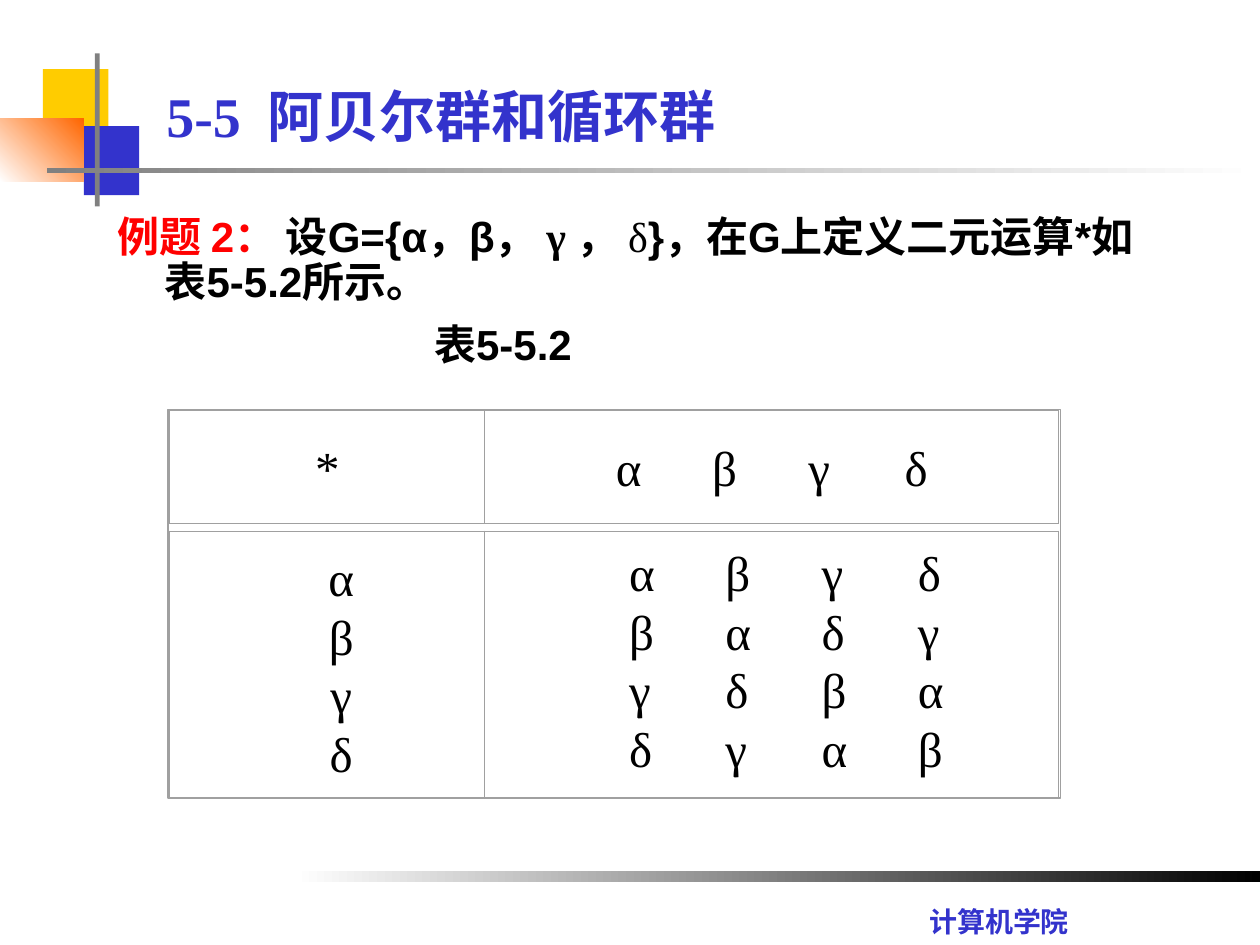
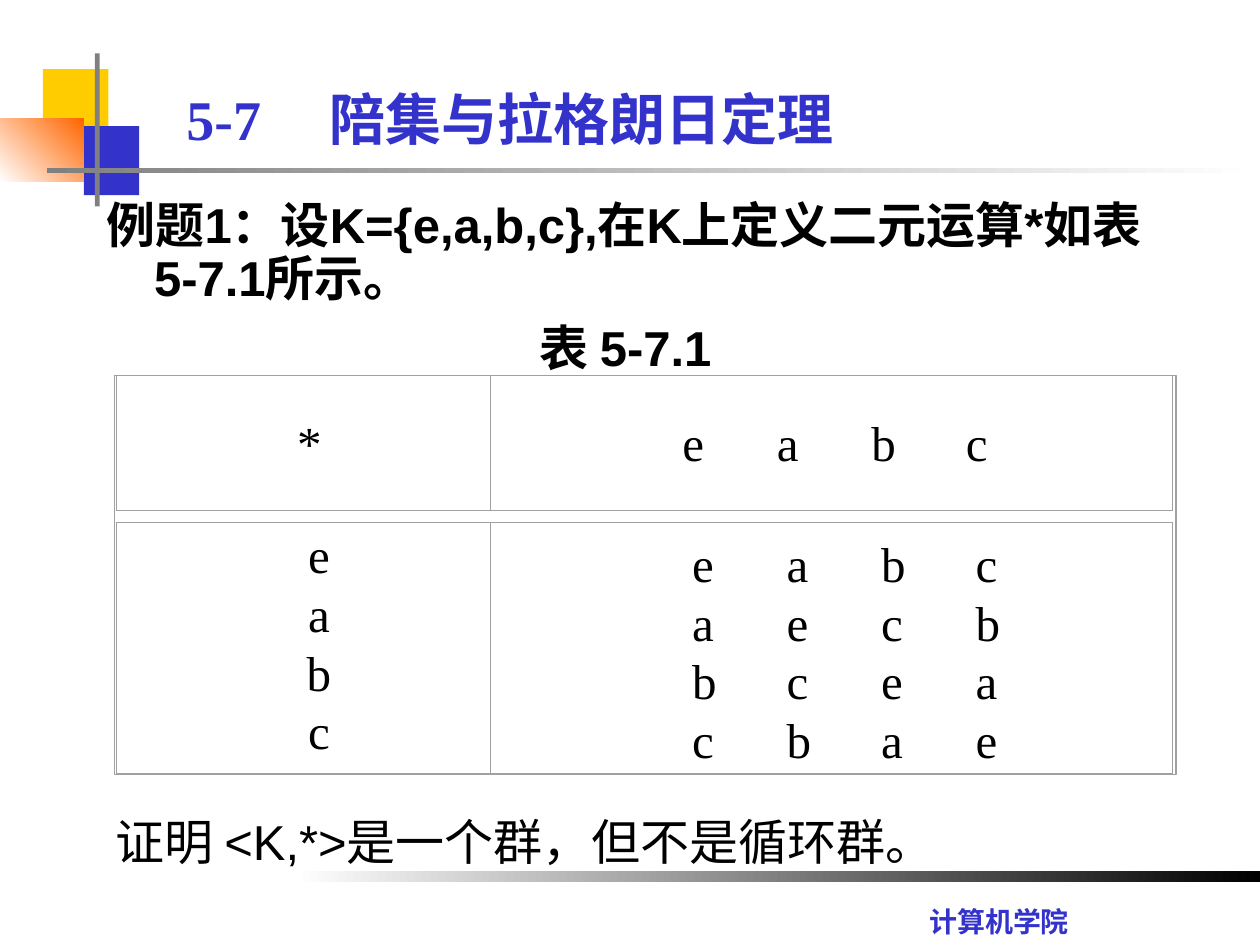
from dataclasses import dataclass

from lxml.etree import SubElement
from pptx import Presentation
from pptx.dml.color import RGBColor
from pptx.enum.shapes import MSO_SHAPE as Shape
from pptx.enum.text import MSO_ANCHOR as Anchor, PP_ALIGN as Align
from pptx.oxml import parse_xml
from pptx.oxml.ns import nsdecls, qn
from pptx.util import Pt


@dataclass(frozen=True)
class Theme:
    blue: str = "3333CC"
    yellow: str = "FFCC00"
    orange: str = "FF6600"
    red: str = "FF0000"
    gray: str = "808080"
    rule: str = "A0A0A0"
    black: str = "000000"
    white: str = "FFFFFF"
    serif: str = "Times New Roman"
    sans: str = "Arial"
    footer_font: str = "Karla"
    title_size: float = 32
    cell_size: float = 28
    footer_size: float = 16


theme = Theme()


def add_run(para, text, size, font, color=theme.black, bold=False):
    span = para.add_run()
    span.text = text
    span.font.size = Pt(size)
    span.font.name = font
    span.font.bold = bold
    span.font.color.rgb = RGBColor.from_string(color)


def add_tabs(para, stops):
    """Give the paragraph left tab stops, in points from the text edge."""
    tab_list = SubElement(para._p.get_or_add_pPr(), qn("a:tabLst"))
    for stop in stops:
        SubElement(tab_list, qn("a:tab"), pos=str(Pt(stop)), algn="l")


# Shared decoration: left, top, width, height, colours (two make a gradient), angle
bands = [
    (24.5, 39.5, 37.5, 39.5, [theme.yellow], 0),
    (48, 72, 31.5, 39.5, [theme.blue], 0),
    (0, 68, 48, 35.5, [theme.white, theme.orange], 45),
    (54.25, 30.5, 2.75, 87.5, [theme.gray], 0),
    (26.75, 96, 693.25, 3, [theme.gray, theme.white], 0),
    (168, 498, 552, 6, [theme.white, theme.black], 0),
]

# Runs are (text, font, colour, bold); a pad is the space above the text of a cell.
pages = [
    {
        "title": ("5-5", "阿贝尔群和循环群"),
        "title_box": (88, 49, 612, 33),
        "title_tab": 58,
        "body_box": (60, 120, 612, 114),
        "body_size": 24,
        "problem": [
            ("例题 2：", theme.sans, theme.red, True),
            (" 设G={α，β，", theme.sans, theme.black, True),
            (" γ ", theme.serif, theme.black, True),
            ("，", theme.sans, theme.black, True),
            (" δ", theme.serif, theme.black, False),
            ("}，在G上定义二元运算*如表5-5.2所示。", theme.sans, theme.black, True),
        ],
        "caption": "表5-5.2",
        "caption_left": 181,
        "elements": "αβγδ",
        "products": ["αβγδ", "βαδγ", "γδβα", "δγαβ"],
        "table_at": (97, 234.5),
        "columns": (180, 328),
        "rows": (64.5, 4.5, 152),
        "frame": (96, 234, 510, 222),
        "pitch": 55,
        "head_pad": 16,
        "body_pads": (10, 7),
        "lefts": ((0, 75), (16, 82.5)),
        "note": None,
    },
    {
        "title": ("5-7", "陪集与拉格朗日定理"),
        "title_box": (99.5, 37.5, 598.5, 60),
        "title_tab": 81.5,
        "body_box": (54, 111.5, 612, 132),
        "body_size": 28,
        "problem": [
            ("例题1：设K={e,a,b,c},在K上定义二元运算*如表5-7.1所示。",
             theme.sans, theme.black, True),
        ],
        "caption": "表 5-7.1",
        "caption_left": None,
        "elements": "eabc",
        "products": ["eabc", "aecb", "bcea", "cbae"],
        "table_at": (66.5, 214.5),
        "columns": (213.5, 390),
        "rows": (77, 7, 143.5),
        "frame": (65.5, 214.5, 606.5, 228),
        "pitch": 54,
        "head_pad": 22,
        "body_pads": (2, 7),
        "lefts": ((7, 110), (18, 115.5)),
        "note": "证明 <K,*>是一个群，但不是循环群。",
    },
]

deck = Presentation()
deck.slide_width, deck.slide_height = Pt(720), Pt(540)

for content in pages:
    page = deck.slides.add_slide(deck.slide_layouts[6])

    for left, top, width, height, colors, angle in bands:
        band = page.shapes.add_shape(
            Shape.RECTANGLE, Pt(left), Pt(top), Pt(width), Pt(height))
        band.shadow.inherit = False
        band.line.fill.background()
        if len(colors) == 1:
            band.fill.solid()
            band.fill.fore_color.rgb = RGBColor.from_string(colors[0])
        else:
            band.fill.gradient()
            band.fill.gradient_angle = angle
            for stop, color in zip(band.fill.gradient_stops, colors):
                stop.color.rgb = RGBColor.from_string(color)

    footer = page.shapes.add_textbox(Pt(524), Pt(513.5), Pt(100), Pt(26.5)).text_frame
    footer.word_wrap = False
    add_run(footer.paragraphs[0], "计算机学院", theme.footer_size,
            theme.footer_font, theme.blue, True)

    title = page.shapes.add_textbox(*map(Pt, content["title_box"])).text_frame
    title.word_wrap = True
    title.vertical_anchor = Anchor.MIDDLE
    add_tabs(title.paragraphs[0], [content["title_tab"]])
    add_run(title.paragraphs[0], "\t".join(content["title"]), theme.title_size,
            theme.serif, theme.blue, True)

    body = page.shapes.add_textbox(*map(Pt, content["body_box"])).text_frame
    body.word_wrap = True
    body.margin_right = Pt(12)
    problem, caption = body.paragraphs[0], body.add_paragraph()
    hanging = problem._p.get_or_add_pPr()
    hanging.set("marL", str(Pt(27)))
    hanging.set("indent", str(Pt(-27)))
    for text, font, color, bold in content["problem"]:
        add_run(problem, text, content["body_size"], font, color, bold)
    caption.space_before = Pt(5)
    if content["caption_left"]:
        caption._p.get_or_add_pPr().set("marL", str(Pt(content["caption_left"])))
    else:
        caption.alignment = Align.CENTER
    add_run(caption, content["caption"], content["body_size"], theme.sans, bold=True)
    for para in (problem, caption):
        para.line_spacing = 0.9
        para.space_after = Pt(5)

    # Operation table: header, narrow gap, body
    table = page.shapes.add_table(
        3, 2, *map(Pt, content["table_at"]),
        Pt(sum(content["columns"])), Pt(sum(content["rows"]))).table
    table.first_row = table.horz_banding = False
    for column, width in zip(table.columns, content["columns"]):
        column.width = Pt(width)
    for row, height in zip(table.rows, content["rows"]):
        row.height = Pt(height)

    elements = content["elements"]
    head_pads = (content["head_pad"],) * 2
    head_left, body_left = content["lefts"]
    grid = [
        (["*"], [elements], head_pads, head_left),
        ([], [], (0, 0), (0, 0)),
        (list(elements), content["products"], content["body_pads"], body_left),
    ]
    for row_index, (*texts, pads, lefts) in enumerate(grid):
        for column_index in range(2):
            cell = table.cell(row_index, column_index)
            cell.margin_left = Pt(lefts[column_index])
            cell.margin_top = Pt(pads[column_index])
            cell.margin_right = cell.margin_bottom = Pt(0)
            cell.vertical_anchor = Anchor.TOP
            cell.fill.background()
            is_gap = row_index == 1
            for place, side in enumerate("LRTB"):
                paint = "<a:noFill/>" if is_gap and side in "LR" else (
                    f'<a:solidFill><a:srgbClr val="{theme.rule}"/></a:solidFill>')
                cell._tc.get_or_add_tcPr().insert(place, parse_xml(
                    f'<a:ln{side} {nsdecls("a")} w="{Pt(0.5)}">{paint}</a:ln{side}>'))
            frame = cell.text_frame
            if is_gap:
                SubElement(frame.paragraphs[0]._p, qn("a:endParaRPr"), sz="100")
            for line_index, text in enumerate(texts[column_index]):
                para = frame.add_paragraph() if line_index else frame.paragraphs[0]
                if column_index == 0:
                    para.alignment = Align.CENTER
                else:
                    add_tabs(para, [content["pitch"] * n for n in (1, 2, 3)])
                para.line_spacing = Pt(33.5)
                add_run(para, "\t".join(text), theme.cell_size, theme.serif)

    border = page.shapes.add_shape(Shape.RECTANGLE, *map(Pt, content["frame"]))
    border.shadow.inherit = False
    border.fill.background()
    border.line.color.rgb = RGBColor.from_string(theme.rule)
    border.line.width = Pt(0.87)

    if content["note"]:
        note = page.shapes.add_textbox(Pt(59), Pt(460), Pt(570), Pt(41)).text_frame
        note.word_wrap = True
        add_run(note.paragraphs[0], content["note"], 28, theme.sans)

deck.save("out.pptx")
